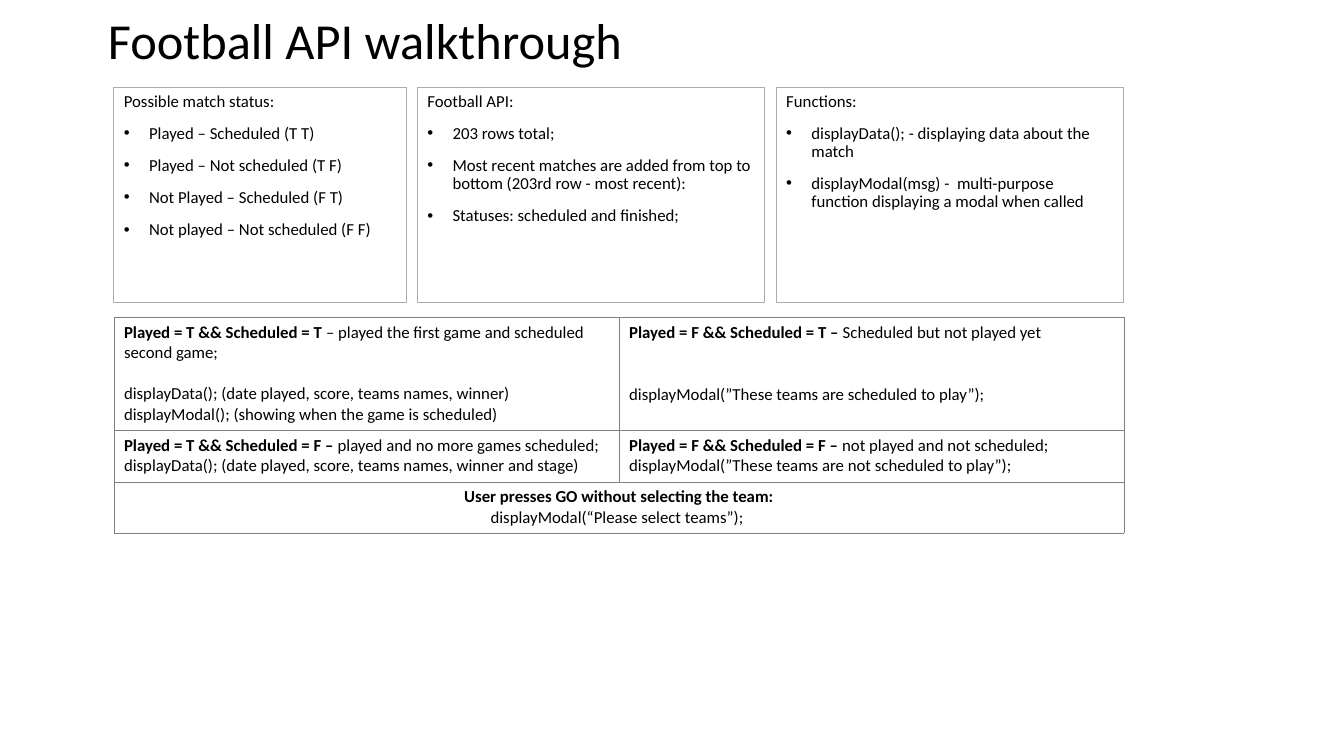
from lxml.etree import SubElement
from pptx import Presentation
from pptx.dml.color import RGBColor
from pptx.enum.shapes import MSO_SHAPE
from pptx.enum.text import MSO_ANCHOR, PP_ALIGN
from pptx.oxml import parse_xml
from pptx.oxml.ns import nsdecls, qn
from pptx.util import Inches, Pt

BLACK = RGBColor(0x00, 0x00, 0x00)
PANEL_LINE = RGBColor(0xAF, 0xAB, 0xAB)
GRID_LINE = RGBColor(0x80, 0x80, 0x80)

LEFT = 1.13
LINE_HEIGHT = 14.65

PANELS = [
    (LEFT, 2.9, "Possible match status:", [
        "Played – Scheduled (T T)",
        "Played – Not scheduled (T F)",
        "Not Played – Scheduled (F T)",
        "Not played – Not scheduled (F F)",
    ]),
    (4.14, 3.44, "Football API:", [
        "203 rows total;",
        "Most recent matches are added from top to bottom (203rd row - most recent):",
        "Statuses: scheduled and finished;",
    ]),
    (7.7, 3.44, "Functions:", [
        "displayData(); - displaying data about the match",
        "displayModal(msg) -  multi-purpose function displaying a modal when called",
    ]),
]

ROW_HEIGHTS = [1.12, 0.51, 0.51]
CASES = [
    (0, 0, "Played = T && Scheduled = T ",
     "– played the first game and scheduled second game;",
     ["displayData(); (date played, score, teams names, winner)",
      "displayModal(); (showing when the game is scheduled)"], 1),
    (0, 1, "Played = F && Scheduled = T – ", "Scheduled but not played yet",
     ["displayModal(”These teams are scheduled to play”);"], 2),
    (1, 0, "Played = T && Scheduled = F – ", "played and no more games scheduled;",
     ["displayData(); (date played, score, teams names, winner and stage)"], 0),
    (1, 1, "Played = F && Scheduled = F – ", "not played and not scheduled;",
     ["displayModal(”These teams are not scheduled to play”);"], 0),
    (2, 0, "User presses GO without selecting the team:", "",
     ["displayModal(“Please select teams”); "], 0),
]


class SlideBuilder:
    font_name = "Calibri"
    body_size = 12
    title_size = 36

    def __init__(self, slide):
        self.slide = slide

    def style(self, paragraph, size=body_size):
        for run in paragraph.runs:
            run.font.name = self.font_name
            run.font.size = Pt(size)
            run.font.color.rgb = BLACK

    def title(self, wording):
        heading = self.slide.shapes.add_textbox(0, 0, Inches(13.33), Inches(0.85))
        frame = heading.text_frame
        frame.word_wrap = True
        frame.vertical_anchor = MSO_ANCHOR.MIDDLE
        frame.margin_left = Inches(1.07)
        frame.text = wording
        frame.paragraphs[0].line_spacing = 0.9
        self.style(frame.paragraphs[0], self.title_size)

    def panel(self, left, width, heading, points):
        panel = self.slide.shapes.add_shape(
            MSO_SHAPE.RECTANGLE, Inches(left), Inches(0.87), Inches(width), Inches(2.13))
        panel.shadow.inherit = False
        panel.fill.background()
        panel.line.color.rgb = PANEL_LINE
        panel.line.width = Pt(0.75)
        frame = panel.text_frame
        frame.word_wrap = True
        frame.vertical_anchor = MSO_ANCHOR.TOP
        frame.text = "\n".join([heading, *points])
        for index, paragraph in enumerate(frame.paragraphs):
            paragraph.alignment = PP_ALIGN.LEFT
            paragraph.line_spacing = 0.9
            if index:
                paragraph.space_before = Pt(10)
                self.bullet(paragraph)
            self.style(paragraph)

    def bullet(self, paragraph):
        properties = paragraph._p.get_or_add_pPr()
        properties.set("marL", str(Inches(0.25)))
        properties.set("indent", str(-Inches(0.25)))
        SubElement(properties, qn("a:buFont")).set("typeface", "Arial")
        SubElement(properties, qn("a:buChar")).set("char", "•")

    def table(self, cases):
        table = self.slide.shapes.add_table(
            len(ROW_HEIGHTS), 2, Inches(LEFT), Inches(3.15),
            Inches(10.02), Inches(sum(ROW_HEIGHTS))).table
        table.first_row = False
        table.horz_banding = False
        for row, height in zip(table.rows, ROW_HEIGHTS):
            row.height = Inches(height)
        for column in table.columns:
            column.width = Inches(5.01)
        for cell in table.iter_cells():
            cell.fill.background()
            self.borders(cell)
        table.cell(2, 0).merge(table.cell(2, 1))
        for row, column, condition, meaning, calls, skipped_lines in cases:
            self.case(table.cell(row, column), condition, meaning, calls, skipped_lines)
        for paragraph in table.cell(2, 0).text_frame.paragraphs:
            paragraph.alignment = PP_ALIGN.CENTER

    def borders(self, cell):
        properties = cell._tc.get_or_add_tcPr()
        for index, side in enumerate(("lnL", "lnR", "lnT", "lnB")):
            properties.insert(index, parse_xml(
                f'<a:{side} {nsdecls("a")} w="{Pt(0.25)}"><a:solidFill>'
                f'<a:srgbClr val="{GRID_LINE}"/></a:solidFill></a:{side}>'))

    def case(self, cell, condition, meaning, calls, skipped_lines):
        frame = cell.text_frame
        frame.text = "\n".join([condition, *calls])
        first, first_call = frame.paragraphs[:2]
        first.runs[0].font.bold = True
        if meaning:
            first.add_run().text = meaning
        if skipped_lines:
            first_call.space_before = Pt(skipped_lines * LINE_HEIGHT)
        for paragraph in frame.paragraphs:
            self.style(paragraph)


def main():
    presentation = Presentation()
    presentation.slide_width = Inches(13.33)
    presentation.slide_height = Inches(7.5)
    builder = SlideBuilder(presentation.slides.add_slide(presentation.slide_layouts[6]))
    builder.title("Football API walkthrough")
    for panel in PANELS:
        builder.panel(*panel)
    builder.table(CASES)
    presentation.save("out.pptx")


if __name__ == "__main__":
    main()
